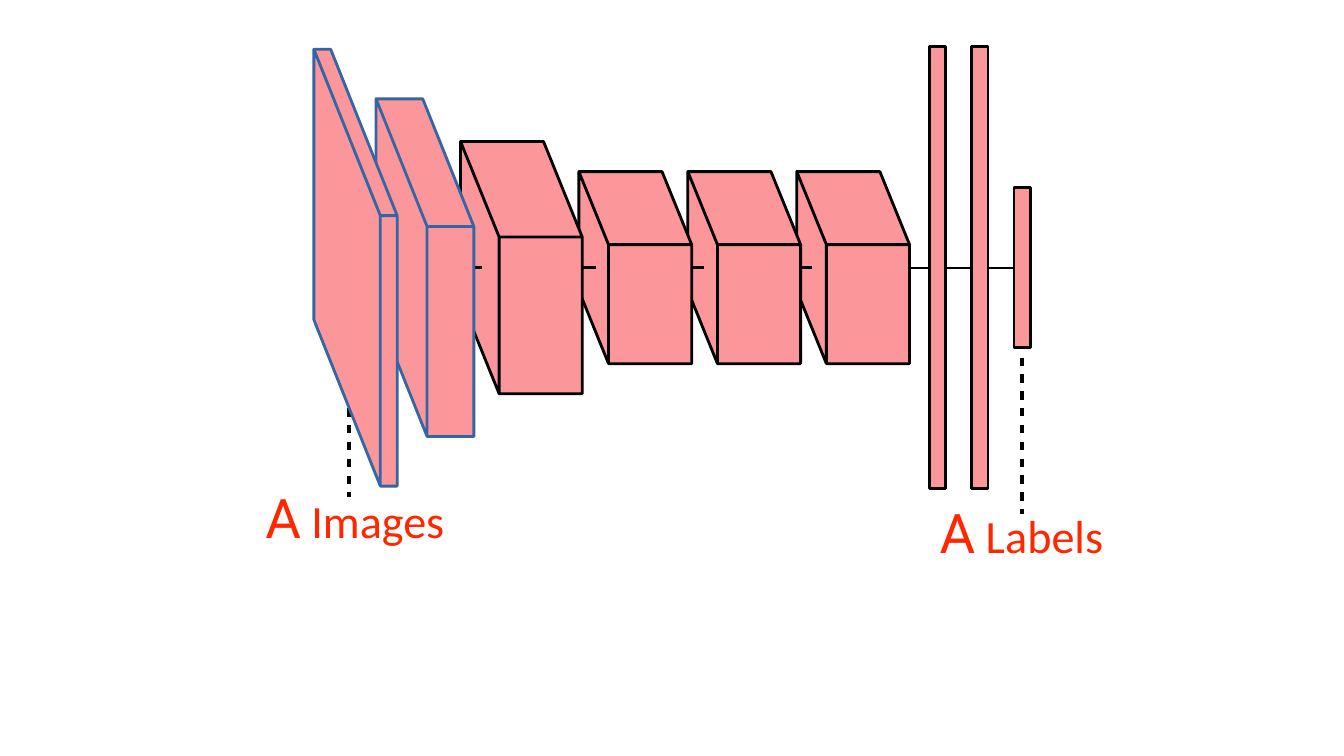
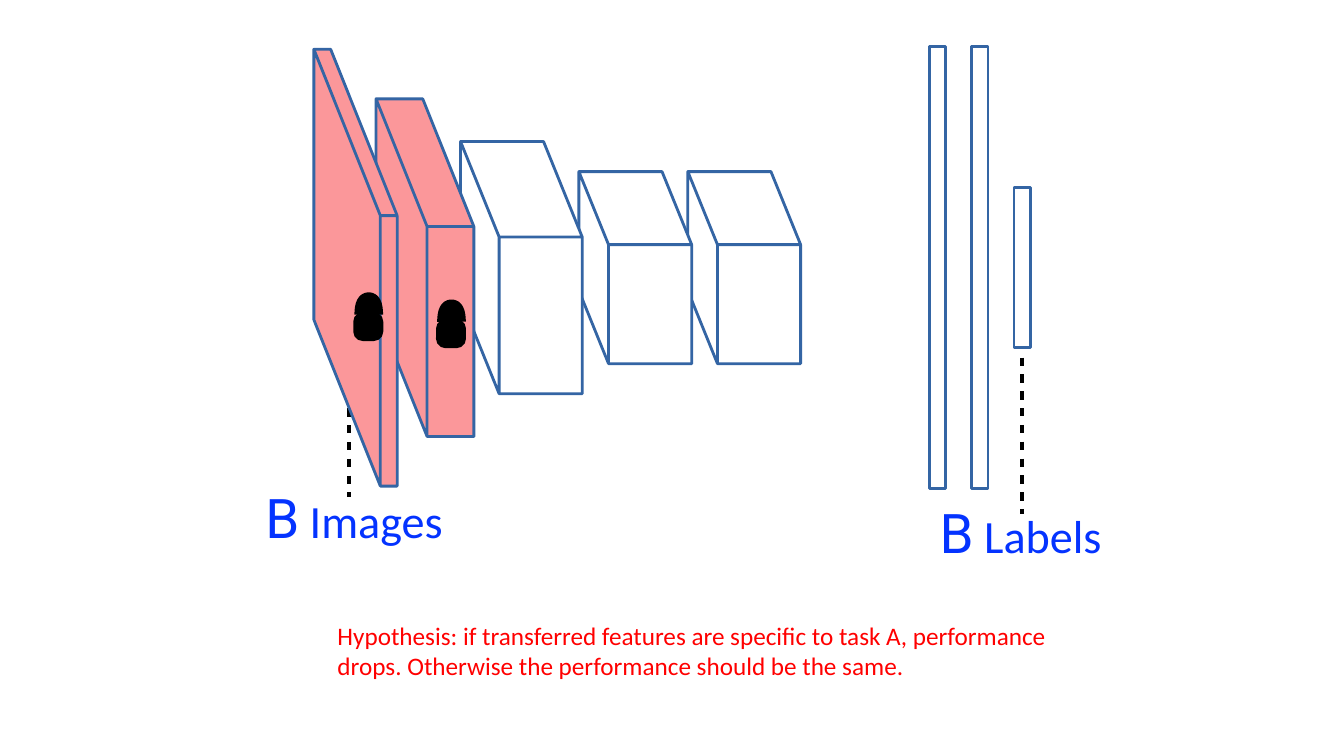
"""Two slides on transferring network layers from task A to task B."""
from dataclasses import dataclass
from lxml import etree
from pptx import Presentation
from pptx import util as u
from pptx.dml.color import RGBColor
from pptx.enum import shapes, text
from pptx.oxml.ns import qn

Pt = u.Pt


@dataclass(frozen=True)
class Theme:
    pink: str = "FB979A"
    white: str = "FFFFFF"
    black: str = "000000"
    blue: str = "3465A4"
    note: str = "FF0000"
    font: str = "Calibri"
    letter_font: str = "Roboto"
    letter_size: float = 39
    label_size: float = 33
    note_size: float = 18
    outline: float = 2
    dash: float = 3
    shackle: float = 10


T = Theme()
AXIS = 191.2
INSET = 4.5

SMALL_BLOCK = (21.2, 52.2, 59.4, 85)
BLOCKS = [
    (224.2, 47.5, 118.8, 12, 193.2),
    (268.6, 36.5, 91.2, 33.4, 150),
    (329, 27.6, 68.2, 59.3, 112),
    *((413.5 + 77.8 * i, *SMALL_BLOCK) for i in range(3)),
]
TICKS = {2: 327.6, 3: 409, 4: 486.7, 5: 563.8}
TICK_LENGTH = 16.4
BAR_LEFT, BAR_PITCH, BAR_WIDTH = 663.7, 30.3, 11.7
BAR_HEIGHTS = [316, 316, 114.6]
WIRE = (645, 732)
DASHES = [(249.2, 291.6, 355), (730, 243.4, 367.2)]
LABELS = [("Images", 185, 341.3, 137), ("Labels", 666.7, 352.1, 127.5)]
LOCKS = [(253.4, 223.9), (312.5, 229)]
LOCK_BODY = (19.4, 18.7)
SHACKLE = [(4.8, 0.9), (4.8, -2.4), (5.1, -10.1), (10, -10.1)]
NOTE = ("Hypothesis: if transferred features are specific to task A, performance "
        "drops. Otherwise the performance should be the same.")
NOTE_BOX = (234, 439.2, 537, 51)

SLIDES = [
    dict(letter="A", ink="FF2600", blocks=6, fresh=T.pink, fresh_line=T.black,
         wired=True, locks=[], note=None),
    dict(letter="B", ink="0433FF", blocks=5, fresh=T.white, fresh_line=T.blue,
         wired=False, locks=LOCKS, note=NOTE),
]


def rgb(color):
    return RGBColor.from_string(color)


def paint(sp, fill, line, width=T.outline):
    sp.shadow.inherit = False
    if fill:
        sp.fill.solid()
        sp.fill.fore_color.rgb = rgb(fill)
    else:
        sp.fill.background()
    sp.line.color.rgb = rgb(line)
    sp.line.width = Pt(width)
    return sp


def add_line(s, x1, y1, x2, y2, width=T.outline, dashed=False):
    ends = [Pt(v) for v in (x1, y1, x2, y2)]
    c = s.shapes.add_connector(shapes.MSO_CONNECTOR.STRAIGHT, *ends)
    c.line.color.rgb = rgb(T.black)
    c.line.width = Pt(width)
    sp_pr = c._element.spPr
    if dashed:
        dash = etree.SubElement(sp_pr.find(qn("a:ln")), qn("a:custDash"))
        etree.SubElement(dash, qn("a:ds"), d="200000", sp="200000")
    etree.SubElement(sp_pr, qn("a:effectLst"))
    return c


def add_outline(owner, points, close):
    start, *rest = [(Pt(x), Pt(y)) for x, y in points]
    builder = owner.shapes.build_freeform(*start, scale=1.0)
    builder.add_line_segments(rest, close=close)
    return builder.convert_to_shape()


def add_block(s, block, fill, line):
    x, dx, dy, w, h = block
    y = AXIS - (dy + h) / 2
    back_top, back_low, back_right = (x, y), (x, y + h), (x + w, y)
    top, low = (x + dx, y + dy), (x + dx, y + dy + h)
    right, corner = (x + dx + w, y + dy), (x + dx + w, y + dy + h)
    points = [top, low, back_low, back_top, top, back_top, back_right,
              right, top, right, corner, low]
    paint(add_outline(s, points, True), fill, line)


def add_bars(s, fill, line):
    bars = []
    for i, h in enumerate(BAR_HEIGHTS):
        box = (BAR_LEFT + i * BAR_PITCH, AXIS - h / 2, BAR_WIDTH, h)
        sp = s.shapes.add_shape(shapes.MSO_SHAPE.RECTANGLE, *map(Pt, box))
        bars.append(paint(sp, fill, line))
    return bars


def bezier(points, t):
    weights = [(1 - t) ** 3, 3 * t * (1 - t) ** 2, 3 * t * t * (1 - t), t ** 3]
    return tuple(sum(k * p[axis] for k, p in zip(weights, points)) for axis in (0, 1))


def add_lock(s, x, y):
    g = s.shapes.add_group_shape()
    body = g.shapes.add_shape(shapes.MSO_SHAPE.ROUNDED_RECTANGLE,
                              *map(Pt, (x, y, *LOCK_BODY)))
    body.adjustments[0] = 0.31
    paint(body, T.black, T.black)
    left = [bezier(SHACKLE, i / 8) for i in range(9)]
    middle = left[-1][0]
    arch = left + [(2 * middle - px, py) for px, py in reversed(left[:-1])]
    arch = [(x + px, y + py) for px, py in arch]
    paint(add_outline(g, arch, False), None, T.black, T.shackle)


def add_text(s, box, runs, color, frame):
    tf = s.shapes.add_textbox(*map(Pt, box)).text_frame
    for name, value in frame.items():
        setattr(tf, name, value)
    p = tf.paragraphs[0]
    for words, font, size in runs:
        r = p.add_run()
        r.text = words
        for name, value in dict(name=font, size=Pt(size)).items():
            setattr(r.font, name, value)
        r.font.color.rgb = rgb(color)


def add_slide(prs, letter, ink, blocks, fresh, fresh_line, wired, locks, note):
    s = prs.slides.add_slide(prs.slide_layouts[6])
    for x, y1, y2 in DASHES:
        add_line(s, x, y1, x, y2, T.dash, dashed=True)
    wire = add_line(s, WIRE[0], AXIS, WIRE[1], AXIS, 1.5) if wired else None
    bars = add_bars(s, fresh, fresh_line)
    if wire:
        wire.end_connect(bars[-1], 1)
    for i in reversed(range(blocks)):
        kept = i < 2
        add_block(s, BLOCKS[i], T.pink if kept else fresh,
                  T.blue if kept else fresh_line)
        if wired and i in TICKS:
            add_line(s, TICKS[i], AXIS, TICKS[i] + TICK_LENGTH, AXIS)
    for lock in locks:
        add_lock(s, *lock)
    margins = {f"margin_{side}": Pt(INSET) for side in ("left", "right", "top", "bottom")}
    frame = dict(margins, word_wrap=False, vertical_anchor=text.MSO_ANCHOR.MIDDLE,
                 auto_size=text.MSO_AUTO_SIZE.SHAPE_TO_FIT_TEXT)
    for word, x, y, w in LABELS:
        runs = [(letter, T.letter_font, T.letter_size), (f" {word}", T.font, T.label_size)]
        add_text(s, (x, y, w, 56), runs, ink, frame)
    if note:
        add_text(s, NOTE_BOX, [(note, T.font, T.note_size)], T.note,
                 dict(word_wrap=True, auto_size=text.MSO_AUTO_SIZE.SHAPE_TO_FIT_TEXT))


def main():
    prs = Presentation()
    prs.slide_width, prs.slide_height = Pt(960), Pt(540)
    for content in SLIDES:
        add_slide(prs, **content)
    prs.save("out.pptx")


if __name__ == "__main__":
    main()
